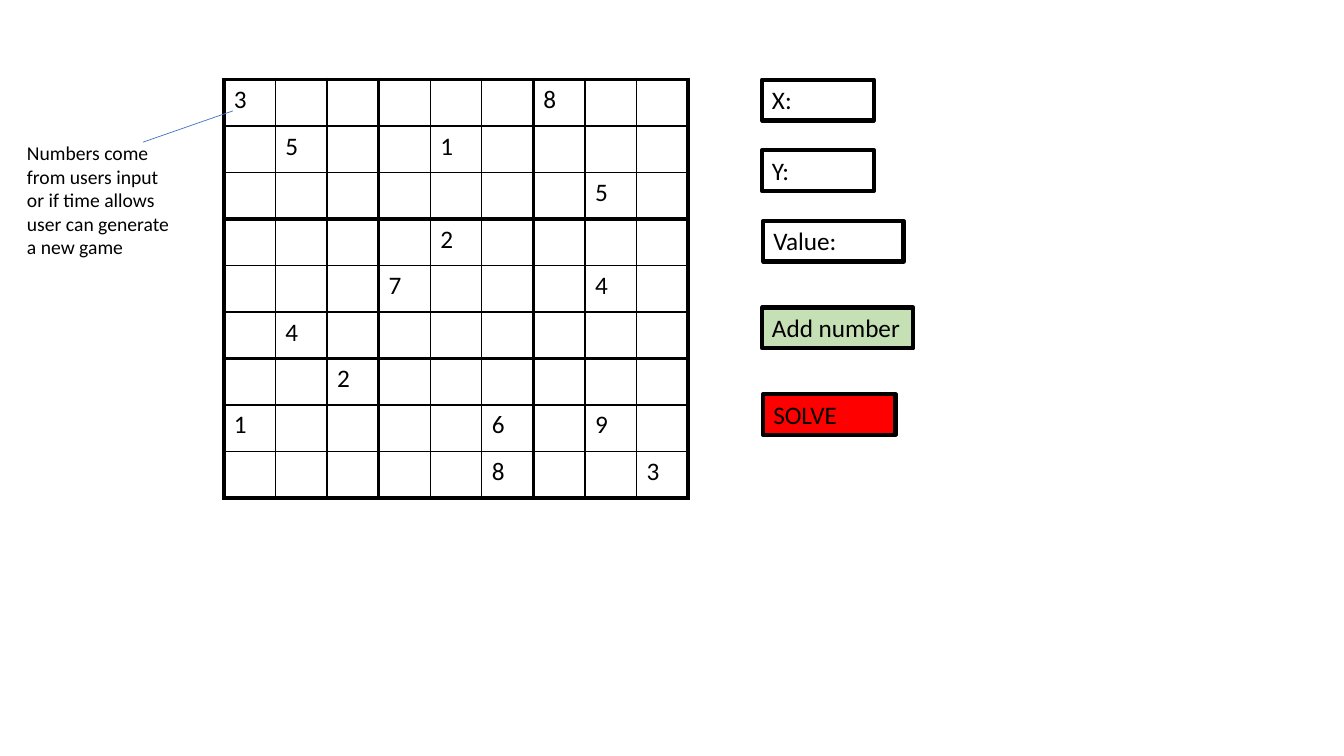
from lxml.etree import SubElement
from pptx import Presentation
from pptx.dml.color import RGBColor
from pptx.enum.shapes import MSO_CONNECTOR, MSO_SHAPE
from pptx.enum.text import MSO_ANCHOR, PP_ALIGN
from pptx.oxml import parse_xml
from pptx.oxml.ns import nsdecls, qn
from pptx.util import Inches, Pt

BLACK = RGBColor(0, 0, 0)
WHITE = RGBColor(255, 255, 255)
BLUE = RGBColor(0x44, 0x72, 0xC4)
GREEN = RGBColor(0xC5, 0xE0, 0xB4)
RED = RGBColor(255, 0, 0)

# Sudoku clues, a dot for each empty cell
CLUES = [
    "3.....8..",
    ".5..1....",
    ".......5.",
    "....2....",
    "...7...4.",
    ".4.......",
    "..2......",
    "1....6.9.",
    ".....8..3",
]
NOTE = ("Numbers come from users input or if time allows "
        "user can generate a new game")


class Page:
    """Places elements by percent of the slide's width and height."""
    font = "Calibri"
    thick = 3
    thin = 1

    def __init__(self, deck):
        self.deck = deck
        self.slide = deck.slides.add_slide(deck.slide_layouts[6])
        self.shapes = self.slide.shapes

    def wide(self, share):
        return round(self.deck.slide_width * share / 100)

    def high(self, share):
        return round(self.deck.slide_height * share / 100)

    def area(self, x, y, w, h):
        return self.wide(x), self.high(y), self.wide(w), self.high(h)

    def label(self, frame, text, size=18):
        frame.word_wrap = True
        frame.vertical_anchor = MSO_ANCHOR.TOP
        line = frame.paragraphs[0]
        line.alignment = PP_ALIGN.LEFT
        run = line.add_run()
        run.text = text
        run.font.name = self.font
        run.font.size = Pt(size)
        run.font.color.rgb = BLACK

    def note(self, text, x, y, w, h, size):
        box = self.shapes.add_textbox(*self.area(x, y, w, h))
        self.label(box.text_frame, text, size)

    def box(self, text, x, y, w, h, fill):
        box = self.shapes.add_shape(MSO_SHAPE.RECTANGLE, *self.area(x, y, w, h))
        box.shadow.inherit = False
        box.fill.solid()
        box.fill.fore_color.rgb = fill
        box.line.color.rgb = BLACK
        box.line.width = Pt(self.thick)
        self.label(box.text_frame, text)

    def line(self, x1, y1, x2, y2):
        line = self.shapes.add_connector(
            MSO_CONNECTOR.STRAIGHT, self.wide(x1), self.high(y1),
            self.wide(x2), self.high(y2))
        line.line.color.rgb = BLUE
        line.line.width = Pt(0.5)
        SubElement(line._element.spPr, qn("a:effectLst"))

    def edge(self, cell, row, col):
        # Every third rule is thick
        steps = {"L": col, "R": col + 1, "T": row, "B": row + 1}
        props = cell._tc.get_or_add_tcPr()
        for spot, (side, step) in enumerate(steps.items()):
            size = self.thin if step % 3 else self.thick
            props.insert(spot, parse_xml(
                f'<a:ln{side} {nsdecls("a")} w="{Pt(size)}"><a:solidFill>'
                f'<a:srgbClr val="{BLACK}"/></a:solidFill></a:ln{side}>'))

    def board(self, clues, x, y, w, h):
        count = len(clues)
        table = self.shapes.add_table(
            count, count, *self.area(x, y, w, h)).table
        table.first_row = table.horz_banding = False
        for row, marks in enumerate(clues):
            for col, mark in enumerate(marks):
                cell = table.cell(row, col)
                cell.fill.solid()
                cell.fill.fore_color.rgb = WHITE
                self.edge(cell, row, col)
                if mark != ".":
                    self.label(cell.text_frame, mark)


def main():
    deck = Presentation()
    deck.slide_width, deck.slide_height = Inches(13.33), Inches(7.5)
    page = Page(deck)

    # Game board
    page.board(CLUES, 16.65, 10.53, 34.58, 55.33)

    # Note on the clues
    page.line(17.33, 14.67, 10.65, 18.8)
    page.note(NOTE, 1.27, 18, 12.08, 17.07, size=14)

    # Input fields and buttons
    for text, x, y, w, fill in [
        ("X:", 56.7, 10.53, 8.33, WHITE),
        ("Y:", 56.7, 19.87, 8.33, WHITE),
        ("Value:", 56.8, 29.2, 10.43, WHITE),
        ("Add number", 56.7, 40.67, 11.25, GREEN),
        ("SOLVE", 56.8, 52.13, 9.83, RED),
    ]:
        page.box(text, x, y, w, 5.4, fill)

    deck.save("out.pptx")


if __name__ == "__main__":
    main()
